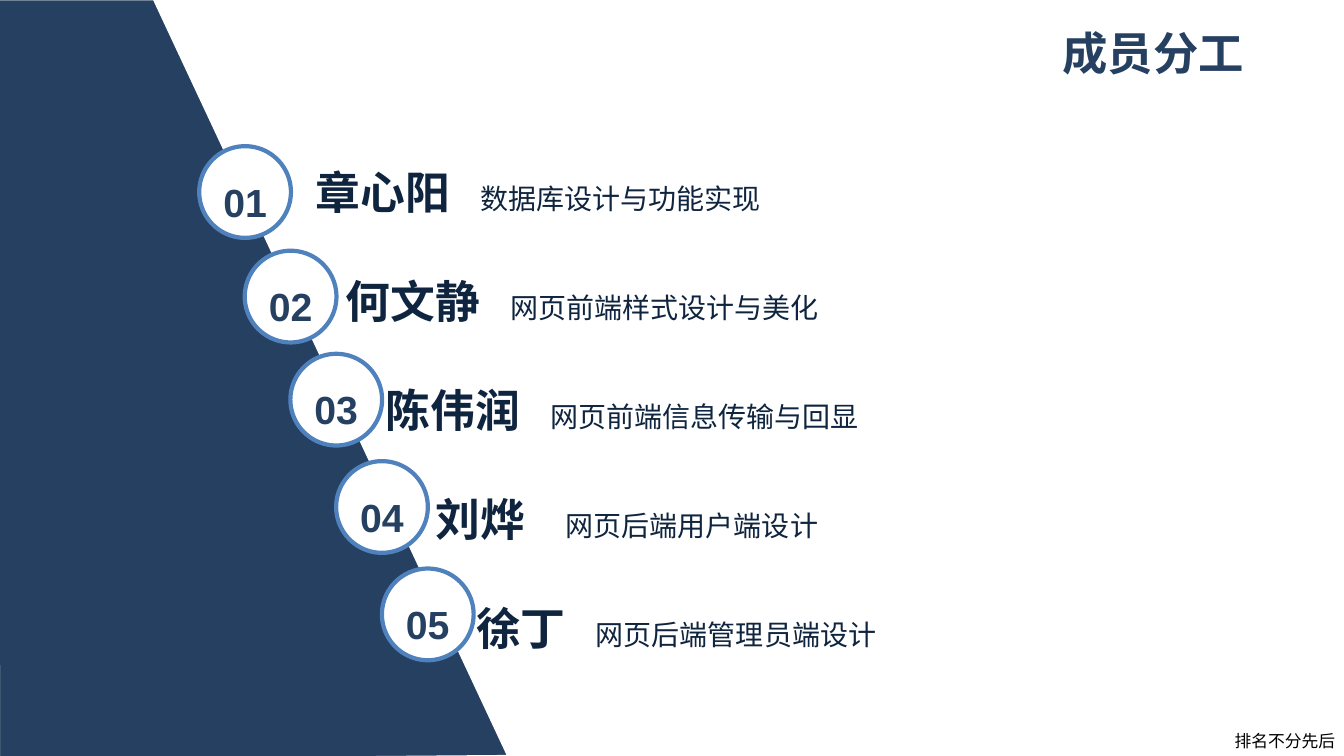
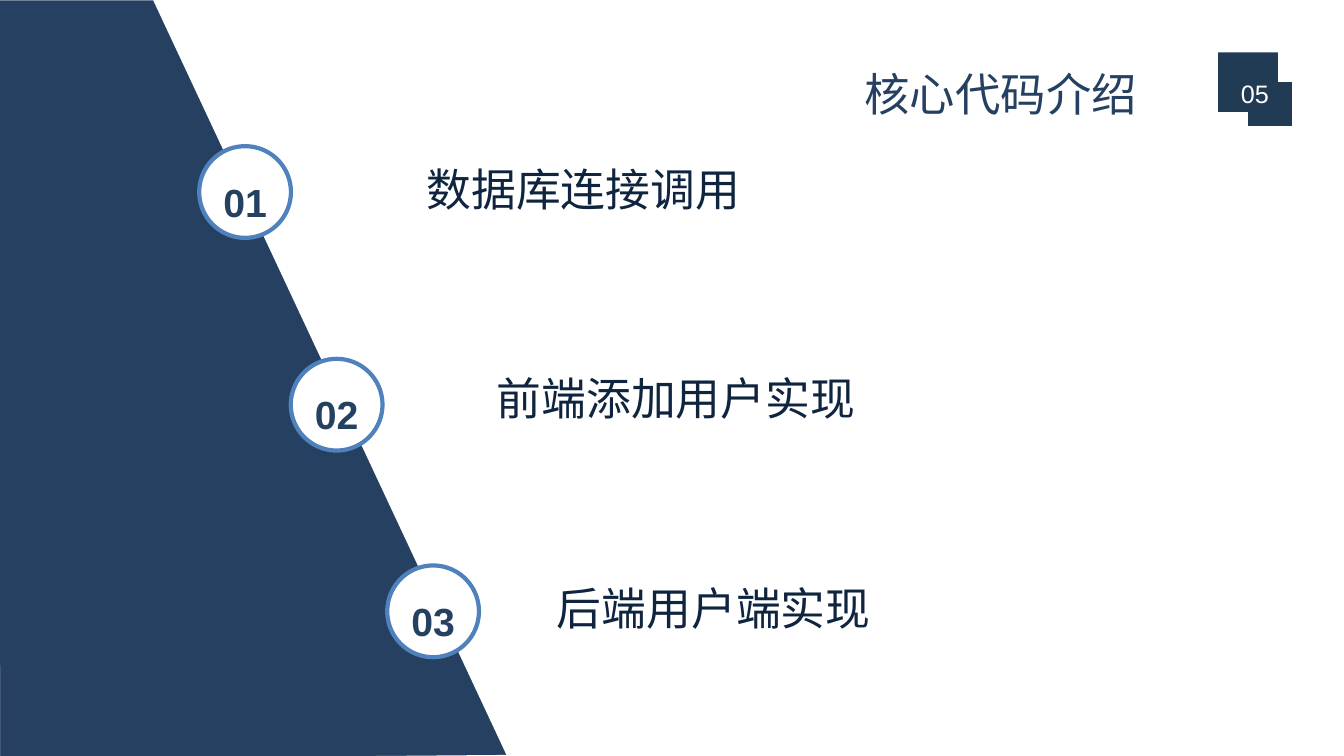
from lxml.etree import SubElement
from pptx import Presentation
from pptx.dml.color import RGBColor
from pptx.enum.shapes import MSO_SHAPE as SHAPE
from pptx.enum.text import MSO_ANCHOR as ANCHOR, MSO_AUTO_SIZE as FIT, PP_ALIGN as ALIGN
from pptx.oxml.ns import qn
from pptx.util import Pt

NAVY = RGBColor(0x25, 0x40, 0x61)
INK = RGBColor(0x0F, 0x24, 0x3E)
STEEL = RGBColor(0x21, 0x3B, 0x55)
BLUE = RGBColor(0x4F, 0x81, 0xBD)
WHITE = RGBColor(0xFF, 0xFF, 0xFF)
BLACK = RGBColor(0, 0, 0)

BAND = [(363, 540), (110, -0.5), (-2, -0.5), (-0.5, 543)]
BADGE = [(870, 37.5), (912.8, 37.5), (912.8, 58.7), (922.8, 58.7),
         (922.8, 90), (891.5, 90), (891.5, 80), (870, 80)]

# Per row: circle left and top, indent, name or topic, then gap and task if any
SLIDES = [
    dict(title="成员分工", box=(751.7, 8, 190, 52.5), align=ALIGN.LEFT, bold=True,
         top=92.3, gap=17.9, rows=[
             (142.3, 104.4, 28.7, "章心阳", 14.3, "数据库设计与功能实现"),
             (174.8, 179.1, 50.2, "何文静", 14.3, "网页前端样式设计与美化"),
             (207.4, 252.7, 78.9, "陈伟润", 14.3, "网页前端信息传输与回显"),
             (240.1, 329.4, 114.7, "刘烨", 21.5, "网页后端用户端设计"),
             (272.8, 406.1, 143.4, "徐丁", 14.3, "网页后端管理员端设计")]),
    dict(title="核心代码介绍", box=(507, 37.5, 415.5, 52.5), align=ALIGN.CENTER, bold=False,
         top=90.3, gap=89.6, rows=[
             (142.3, 104.4, 108, "数据库连接调用"),
             (207.7, 256.3, 158.2, "前端添加用户实现"),
             (276.6, 403.9, 201.2, "后端用户端实现")]),
]


def style(par, size, color, bold=False, align=ALIGN.LEFT, space=1.3):
    par.alignment, par.line_spacing = align, space
    font = par.font
    font.size, font.bold, font.name = Pt(size), bold, "Arial"
    font.color.rgb = color
    props = par._p.pPr.find(qn("a:defRPr"))
    SubElement(props, qn("a:ea")).set("typeface", "Noto Sans CJK SC")


def outline(shapes, points, color):
    spots = [(Pt(x), Pt(y)) for x, y in points]
    pen = shapes.build_freeform(*spots[0], scale=1.0)
    pen.add_line_segments(spots[1:], close=True)
    shape = pen.convert_to_shape()
    shape.shadow.inherit = False
    shape.fill.solid()
    shape.fill.fore_color.rgb = color
    return shape


deck = Presentation()
deck.slide_width, deck.slide_height = Pt(960), Pt(540)

for data in SLIDES:
    slide = deck.slides.add_slide(deck.slide_layouts[0])
    shapes = slide.shapes

    # Title
    title = shapes.title
    title.left, title.top, title.width, title.height = map(Pt, data["box"])
    frame = title.text_frame
    frame.text = data["title"]
    frame.auto_size, frame.vertical_anchor = FIT.NONE, ANCHOR.BOTTOM
    style(frame.paragraphs[0], 32.4, NAVY, data["bold"], data["align"])

    # List, staggered by indents
    body = slide.placeholders[1]
    body.left, body.top, body.width, body.height = Pt(189.4), Pt(data["top"]), Pt(720), Pt(400)
    frame = body.text_frame
    frame.auto_size, frame.vertical_anchor = FIT.NONE, ANCHOR.TOP
    for i, (_, _, indent, name, *task) in enumerate(data["rows"]):
        par = frame.add_paragraph() if i else frame.paragraphs[0]
        par.space_before = Pt(data["gap"] if i else 0)
        props = par._p.get_or_add_pPr()
        props.set("marL", str(Pt(indent)))
        props.set("indent", "0")
        style(par, 32, INK, space=Pt(60))
        head = par.add_run()
        head.text = name
        if task:
            gap, text = task
            head.font.bold = True
            space = par.add_run()
            space.text = " "
            space._r.get_or_add_rPr().set("spc", str(round(gap * 100)))
            tail = par.add_run()
            tail.text = text
            tail.font.size = Pt(20)

    # Slanted band
    band = outline(shapes, BAND, NAVY)
    band.line.color.rgb, band.line.width = WHITE, Pt(1.5)

    # Numbered circles
    for num, (left, top, *_) in enumerate(data["rows"], 1):
        group = shapes.add_group_shape().shapes
        disc = group.add_shape(SHAPE.OVAL, Pt(left), Pt(top), Pt(65.5), Pt(65.5))
        disc.shadow.inherit = False
        disc.fill.solid()
        disc.fill.fore_color.rgb = WHITE
        disc.line.color.rgb, disc.line.width = BLUE, Pt(3)
        label = group.add_textbox(Pt(left + 6.1), Pt(top + 9.2), Pt(53.3), Pt(46.8))
        frame = label.text_frame
        frame.word_wrap = True
        frame.text = f"{num:02}"
        style(frame.paragraphs[0], 28, NAVY, True, ALIGN.CENTER)

# Footnote on the first slide
note = deck.slides[0].shapes.add_textbox(Pt(874.8), Pt(518.4), Pt(85.2), Pt(21.6))
frame = note.text_frame
frame.word_wrap, frame.margin_right = True, 0
frame.text = "排名不分先后"
style(frame.paragraphs[0], 12, BLACK, space=1.0)

# Section badge on the second slide
badge = outline(deck.slides[1].shapes, BADGE, STEEL)
badge.line.fill.background()
frame = badge.text_frame
frame.text = "05"
frame.vertical_anchor = ANCHOR.MIDDLE
style(frame.paragraphs[0], 18, WHITE, align=ALIGN.CENTER)

deck.save("out.pptx")
